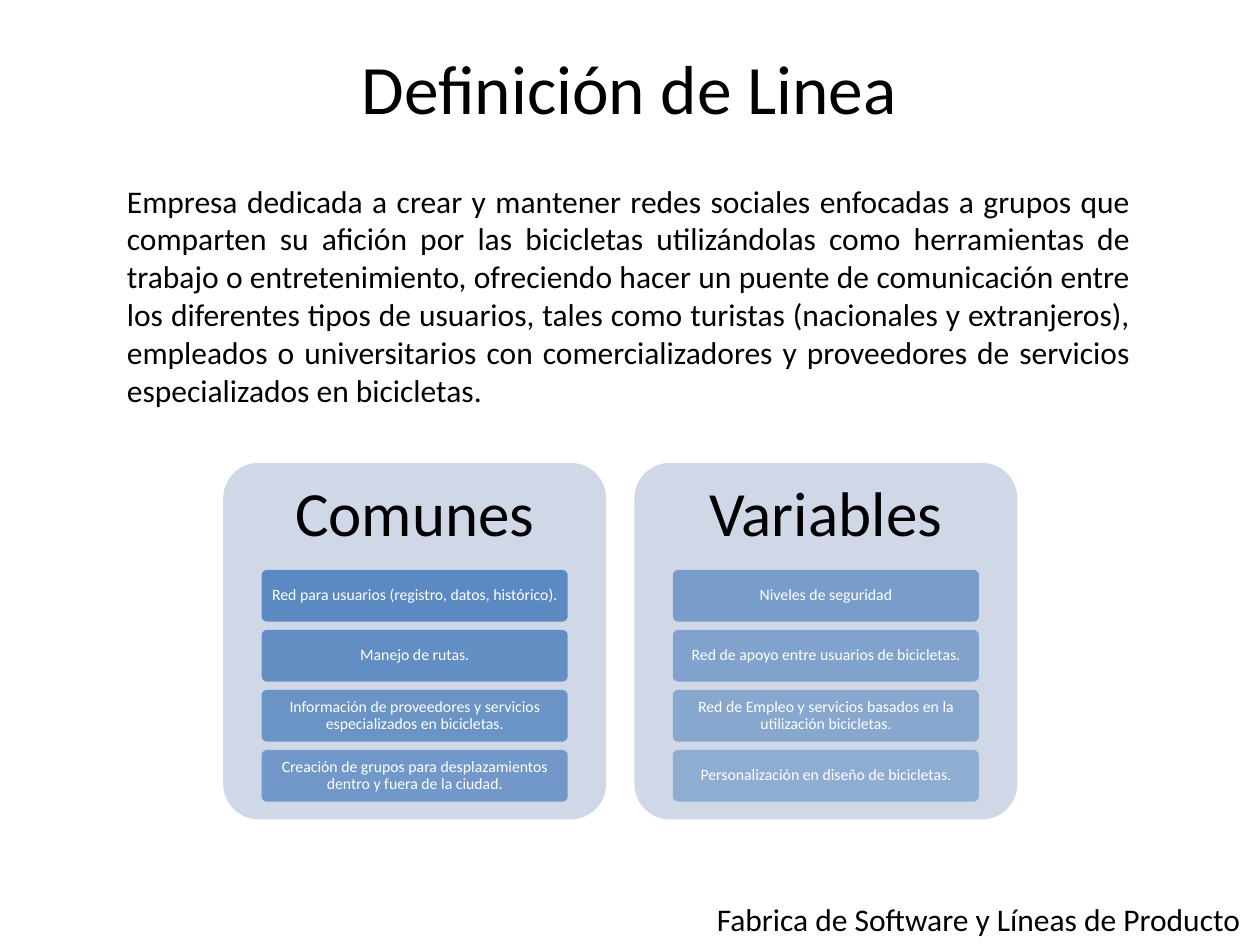
from dataclasses import dataclass

from lxml.etree import SubElement
from pptx import Presentation
from pptx.dml.color import RGBColor
from pptx.enum.shapes import MSO_SHAPE
from pptx.enum.text import MSO_ANCHOR, MSO_AUTO_SIZE, PP_ALIGN
from pptx.oxml.ns import qn
from pptx.util import Cm, Pt


@dataclass(frozen=True)
class Theme:
    font: str = "Calibri"
    ink: str = "000000"
    light: str = "FFFFFF"
    panel: str = "D0D8E8"
    item: str = "4F81BD"
    title_size: float = 39.6
    heading_size: float = 36
    body_size: float = 18
    item_size: float = 9


class SlideBuilder:
    def __init__(self, slide, theme):
        self.s = slide
        self.theme = theme

    def set_text(self, sp, text, size, color, align, anchor=MSO_ANCHOR.MIDDLE,
                 inset=(0.25, 0.13), spacing=None, wrap=True):
        tf = sp.text_frame
        tf.text = text
        tf.word_wrap = wrap
        tf.auto_size = MSO_AUTO_SIZE.NONE
        tf.vertical_anchor = anchor
        tf.margin_left = tf.margin_right = Cm(inset[0])
        tf.margin_top = tf.margin_bottom = Cm(inset[1])
        p = tf.paragraphs[0]
        p.alignment = align
        if spacing:
            p.line_spacing = spacing
        font = p.runs[0].font
        font.name = self.theme.font
        font.size = Pt(size)
        font.color.rgb = RGBColor.from_string(color)

    def title(self, text, left, top, width, height):
        sp = self.s.shapes.title
        sp.left, sp.top, sp.width, sp.height = map(Cm, (left, top, width, height))
        self.set_text(sp, text, self.theme.title_size, self.theme.ink, PP_ALIGN.CENTER)

    def text(self, text, box, size, align, **style):
        sp = self.s.shapes.add_textbox(*map(Cm, box))
        self.set_text(sp, text, size, self.theme.ink, align, **style)

    def rounded(self, box, color, opacity=100):
        sp = self.s.shapes.add_shape(MSO_SHAPE.ROUNDED_RECTANGLE, *map(Cm, box))
        sp.adjustments[0] = 0.1
        sp.shadow.inherit = False
        sp.line.fill.background()
        sp.fill.solid()
        sp.fill.fore_color.rgb = RGBColor.from_string(color)
        if opacity < 100:
            rgb = sp.element.spPr.find(qn("a:solidFill"))[0]
            SubElement(rgb, qn("a:alpha")).set("val", str(round(opacity * 1000)))
        return sp

    def panel(self, heading, left, top, width, height):
        self.rounded((left, top, width, height), self.theme.panel)
        self.text(heading, (left, top, width, 2.16), self.theme.heading_size,
                  PP_ALIGN.CENTER, inset=(0.38, 0.38), spacing=0.9)

    def item(self, text, box, opacity):
        sp = self.rounded(box, self.theme.item, opacity)
        self.set_text(sp, text, self.theme.item_size, self.theme.light,
                      PP_ALIGN.CENTER, inset=(0.11, 0.08), spacing=0.9)


DEFINITION = (
    "Empresa dedicada a crear y mantener redes sociales enfocadas a grupos que "
    "comparten su afición por las bicicletas utilizándolas como herramientas de "
    "trabajo o entretenimiento, ofreciendo hacer un puente de comunicación entre "
    "los diferentes tipos de usuarios, tales como turistas (nacionales y extranjeros), "
    "empleados o universitarios con comercializadores y proveedores de servicios "
    "especializados en bicicletas."
)
FEATURES = {
    "Comunes": [
        "Red para usuarios (registro, datos, histórico).",
        "Manejo de rutas.",
        "Información de proveedores y servicios especializados en bicicletas.",
        "Creación de grupos para desplazamientos dentro y fuera de la ciudad.",
    ],
    "Variables": [
        "Niveles de seguridad",
        "Red de apoyo entre usuarios de bicicletas.",
        "Red de Empleo y servicios basados en la utilización bicicletas.",
        "Personalización en diseño de bicicletas.",
    ],
}
PANEL_LEFT, PANEL_TOP, PANEL_WIDTH, PANEL_HEIGHT = 4.5, 9.33, 7.72, 7.19
PANEL_PITCH = 8.29
ITEM_TOP, ITEM_WIDTH, ITEM_HEIGHT, ITEM_PITCH = 11.49, 6.17, 1.04, 1.21
OPACITY_FIRST, OPACITY_LAST = 90, 50


def main():
    prs = Presentation()
    prs.slide_width, prs.slide_height = Cm(25.4), Cm(19.05)
    theme = Theme()
    slide = SlideBuilder(prs.slides.add_slide(prs.slide_layouts[5]), theme)

    # Title and definition
    slide.title("Definición de Linea", 1.27, 0.76, 22.83, 1.96)
    slide.text(DEFINITION, (2.31, 3.53, 20.73, 4.88), theme.body_size,
               PP_ALIGN.JUSTIFY, anchor=MSO_ANCHOR.TOP)

    # Feature panels, their items fading from first to last
    fade = (OPACITY_FIRST - OPACITY_LAST) / (sum(map(len, FEATURES.values())) - 1)
    opacity = OPACITY_FIRST
    for col, (heading, items) in enumerate(FEATURES.items()):
        left = PANEL_LEFT + col * PANEL_PITCH
        slide.panel(heading, left, PANEL_TOP, PANEL_WIDTH, PANEL_HEIGHT)
        item_left = left + (PANEL_WIDTH - ITEM_WIDTH) / 2
        for row, text in enumerate(items):
            top = ITEM_TOP + row * ITEM_PITCH
            slide.item(text, (item_left, top, ITEM_WIDTH, ITEM_HEIGHT), opacity)
            opacity -= fade

    # Course name
    slide.text("Fabrica de Software y Líneas de Producto", (14.2, 18.01, 11.2, 1.02),
               theme.body_size, PP_ALIGN.LEFT, anchor=MSO_ANCHOR.TOP, wrap=False)

    prs.save("out.pptx")


if __name__ == "__main__":
    main()
